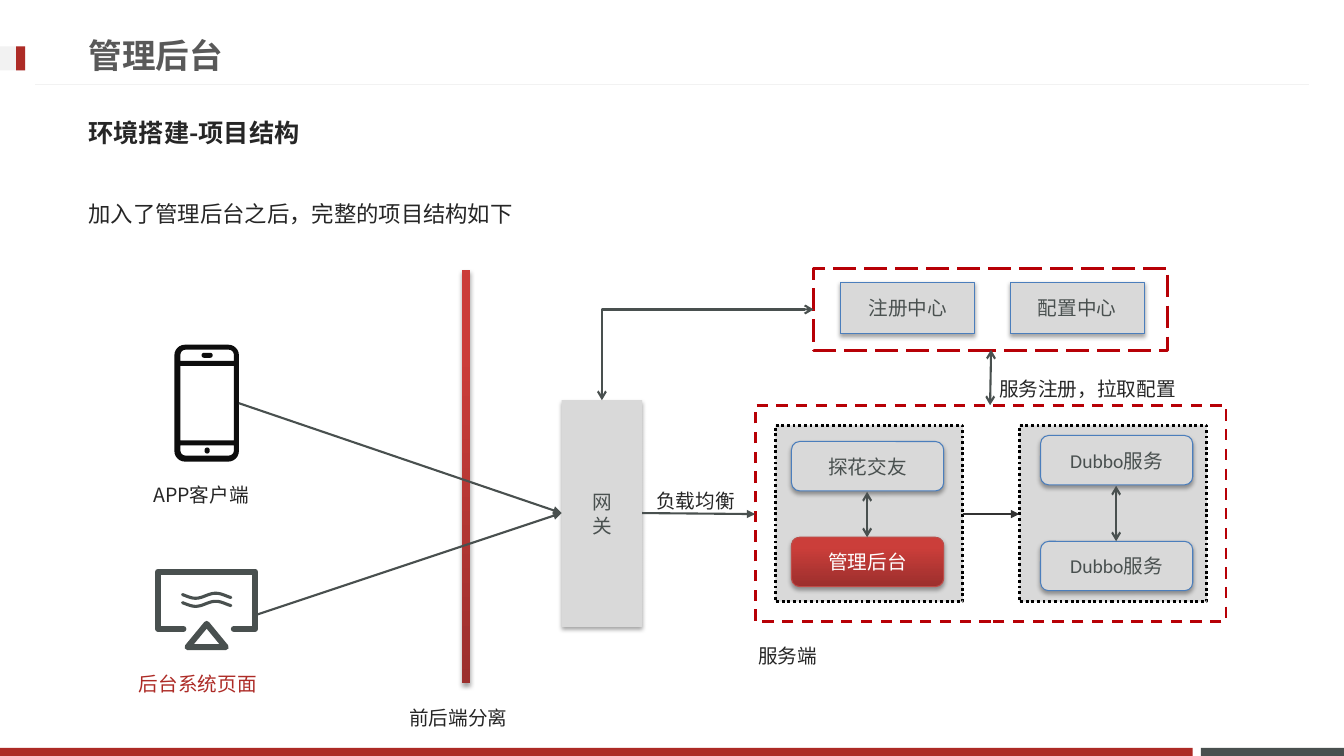
from dataclasses import dataclass
from math import cos, pi, sin, tau

from lxml.etree import SubElement
from pptx import Presentation
from pptx.dml.color import RGBColor
from pptx.enum.dml import MSO_LINE as Dash
from pptx.enum.lang import MSO_LANGUAGE_ID as Language
from pptx.enum.shapes import MSO_CONNECTOR as Link
from pptx.enum.shapes import MSO_SHAPE as Preset
from pptx.enum.text import MSO_ANCHOR as Anchor
from pptx.enum.text import PP_ALIGN as Align
from pptx.oxml.ns import qn
from pptx.util import Emu, Pt

PX = 9144
SLATE, RED, GRAY, INK = "49504F", "AD2B26", "D9D9D9", "262626"
BLUE, CRIMSON, BLACK, WHITE = "4B7EBC", "B70006", "000000", "FFFFFF"
PALE, GRADIENT = "F2F2F2", "gradient"
CJK = "Noto Sans CJK JP"

Point = tuple[float, float]
Contour = list[Point]


@dataclass
class Block:
    left: int
    top: int
    width: int
    height: int
    fill: str = ""
    lines: tuple[str, ...] = ()
    edge: str = ""
    weight: float = 0.75
    dash: Dash | None = None
    shadow: bool = False
    preset: Preset = Preset.RECTANGLE
    ink: str = SLATE


@dataclass
class Label:
    text: str
    left: int
    top: int
    width: int
    height: int
    size: int = 14
    color: str = INK
    font: str = CJK
    heading: bool = False


@dataclass
class Arrow:
    start: Point
    end: Point
    head: str = ""
    tail: str = ""
    color: str = SLATE
    weight: float = 1.5
    elbow: bool = False


def px(length: float) -> Emu:
    return Emu(round(length * PX))


def rgb(color: str) -> RGBColor:
    return RGBColor.from_string(color)


def add_span(para, text: str, size: int, color: str, font: str, bold: bool = False) -> None:
    span = para.add_run()
    span.text = text
    span.font.size, span.font.bold = Pt(size), bold
    span.font.language_id = Language.SIMPLIFIED_CHINESE
    span.font.color.rgb = rgb(color)
    span.font.name = font
    SubElement(span.font._element, qn("a:ea"), typeface=CJK)


def paint(shape, fill: str) -> None:
    if fill == GRADIENT:
        shape.fill.gradient()
        shape.fill.gradient_angle = 90
        stops = shape.fill.gradient_stops
        for stop, position, color in zip(stops, (0, 0.8), ("9C2F2D", "CB3E3A")):
            stop.position, stop.color.rgb = position, rgb(color)
    elif fill:
        shape.fill.solid()
        shape.fill.fore_color.rgb = rgb(fill)
    else:
        shape.fill.background()


def outline(shape, color: str, weight: float) -> None:
    if color:
        shape.line.color.rgb = rgb(color)
        shape.line.width = Pt(weight)
    else:
        shape.line.fill.background()


def add_block(page, block: Block) -> None:
    sides = (px(side) for side in (block.left, block.top, block.width, block.height))
    shape = page.shapes.add_shape(block.preset, *sides)
    shape.shadow.inherit = False
    paint(shape, block.fill)
    outline(shape, block.edge, block.weight)
    if block.dash:
        shape.line.dash_style = block.dash
    if block.shadow:
        effects = shape._element.spPr.find(qn("a:effectLst"))
        outer = SubElement(effects, qn("a:outerShdw"), blurRad="40000", dist="23000",
                           dir="5400000", rotWithShape="0")
        tint = SubElement(outer, qn("a:srgbClr"), val=BLACK)
        SubElement(tint, qn("a:alpha"), val="35000")
    frame = shape.text_frame
    frame.vertical_anchor = Anchor.MIDDLE
    for index, line in enumerate(block.lines):
        para = frame.add_paragraph() if index else frame.paragraphs[0]
        para.alignment = Align.CENTER
        add_span(para, line, 14, block.ink, "Calibri")


def add_label(page, label: Label) -> None:
    box = page.shapes.add_textbox(px(label.left), px(label.top), px(label.width), px(label.height))
    frame = box.text_frame
    frame.word_wrap = True
    para = frame.paragraphs[0]
    if label.heading:
        frame.vertical_anchor = Anchor.MIDDLE
    else:
        para.line_spacing = 1.5
    add_span(para, label.text, label.size, label.color, label.font, label.heading)


def add_arrow(page, arrow: Arrow) -> None:
    kind = Link.ELBOW if arrow.elbow else Link.STRAIGHT
    ends = (px(length) for length in (*arrow.start, *arrow.end))
    connector = page.shapes.add_connector(kind, *ends)
    outline(connector, arrow.color, arrow.weight)
    properties = connector._element.spPr
    if arrow.elbow:
        properties.find(qn("a:prstGeom")).set("prst", "bentConnector2")
        properties.find(qn("a:xfrm")).set("rot", "16200000")
    for tag, tip in (("a:headEnd", arrow.head), ("a:tailEnd", arrow.tail)):
        if tip:
            SubElement(properties.find(qn("a:ln")), qn(tag), type=tip)
    SubElement(properties, qn("a:effectLst"))


def rounded(left: float, top: float, width: float, height: float,
            upper: float = 0, lower: float = 0) -> Contour:
    """Trace a rectangle clockwise with separate upper and lower corner radii."""
    right, bottom = left + width, top + height
    corners = ((left + upper, top + upper, upper, 2), (right - upper, top + upper, upper, 3),
               (right - lower, bottom - lower, lower, 0), (left + lower, bottom - lower, lower, 1))
    return [(x + radius * cos(pi / 2 * (quarter + step / 6)),
             y + radius * sin(pi / 2 * (quarter + step / 6)))
            for x, y, radius, quarter in corners for step in range(7)]


def add_drawing(page, contours: list[Contour], fill: str = "", edge: str = "",
                weight: float = 0) -> None:
    scaled = [[(px(x), px(y)) for x, y in contour] for contour in contours]
    builder = page.shapes.build_freeform(*scaled[0][0])
    for index, contour in enumerate(scaled):
        if index:
            builder.move_to(*contour[0])
        builder.add_line_segments(contour[1:], close=bool(fill))
    shape = builder.convert_to_shape()
    shape.shadow.inherit = False
    paint(shape, fill)
    outline(shape, edge, weight)
    if edge:
        stroke = shape._element.spPr.find(qn("a:ln"))
        stroke.set("cap", "rnd")
        SubElement(stroke, qn("a:round"))


def add_phone(page) -> None:
    add_block(page, Block(174, 343, 62, 114, WHITE))
    add_drawing(page, [rounded(173, 342, 64, 116, 10.5, 10.5), rounded(179, 347, 53, 11, upper=5),
                       rounded(179, 363, 53, 74), rounded(179, 442, 53, 10, lower=5),
                       rounded(200, 350, 11, 5, 2.5, 2.5), rounded(203, 444, 5, 6, 2.5, 2.5)],
                "0D0D0D")


def add_monitor(page) -> None:
    screen = [(182, 624), (157, 624), (157, 567), (253, 567), (253, 624), (232, 624)]
    stand = [(205, 619), (224, 642), (186, 642), (205, 619)]
    waves = [[(x, y + 2.5 * sin(tau * (x - 184) / 40)) for x in range(181, 230, 2)]
             for y in (591, 599)]
    add_drawing(page, [screen, stand], edge=SLATE, weight=4.32)
    add_drawing(page, waves, edge=SLATE, weight=2.2)


def service(text: str, left: int, top: int, fill: str = GRAY, edge: str = BLUE,
            ink: str = SLATE) -> Block:
    return Block(left, top, 151, 49, fill, (text,), edge, shadow=True,
                 preset=Preset.ROUNDED_RECTANGLE, ink=ink)


BLOCKS = [
    Block(1191, 742, 142, 8, SLATE), Block(0, 742, 1183, 8, RED),
    Block(0, 46, 25, 24, PALE), Block(16, 46, 9, 24, RED),
    Block(458, 268, 8, 410, GRADIENT, shadow=True),
    *(Block(left, 422, 186, 175, GRAY, edge=BLACK, weight=2, dash=Dash.ROUND_DOT)
      for left in (769, 1011)),
    Block(557, 397, 80, 225, GRAY, ("网", "关"), shadow=True),
    Block(749, 402, 467, 215, edge=CRIMSON, weight=2, dash=Dash.DASH),
    Block(807, 266, 351, 82, edge=CRIMSON, weight=2, dash=Dash.LONG_DASH),
    *(Block(left, 280, 133, 51, GRAY, (text,), BLUE, shadow=True)
      for text, left in (("注册中心", 834), ("配置中心", 1002))),
    *(service("Dubbo服务", 1032, top) for top in (432, 537)),
    service("探花交友", 785, 438),
    service("管理后台", 785, 533, GRADIENT, "BF4C48", WHITE),
]
ARROWS = [
    Arrow((1298, 84), (35, 84), color=PALE, weight=0.75),
    Arrow((237, 400), (557, 509), tail="triangle"),
    Arrow((254, 610), (557, 509), tail="triangle"),
    Arrow((637, 509), (749, 510), tail="triangle"),
    Arrow((955, 510), (1011, 510), tail="triangle", color="333333"),
    Arrow((860, 488), (860, 533), "arrow", "arrow"),
    Arrow((1107, 482), (1107, 537), "arrow", "arrow"),
    Arrow((983, 347), (982, 402), "arrow", "arrow"),
    Arrow((657, 247), (747, 457), "arrow", "arrow", elbow=True),
]
LABELS = [
    Label("管理后台", 78, 26, 959, 57, 24, "595959", "DejaVu Sans Mono", True),
    Label("环境搭建-项目结构", 78, 103, 1170, 57, 18, heading=True),
    Label("加入了管理后台之后，完整的项目结构如下", 78, 180, 1120, 51, 16),
    Label("前后端分离", 396, 684, 141, 66),
    Label("APP客户端", 142, 463, 129, 34),
    Label("后台系统页面", 128, 650, 144, 47, color=RED),
    Label("服务端", 742, 622, 316, 34, font="Lato"),
    Label("负载均衡", 641, 468, 114, 34),
    Label("服务注册，拉取配置", 981, 357, 201, 29),
]


def main() -> None:
    deck = Presentation()
    deck.slide_width, deck.slide_height = px(1333), px(750)
    page = deck.slides.add_slide(deck.slide_layouts[6])
    for block in BLOCKS:
        add_block(page, block)
    add_phone(page)
    add_monitor(page)
    for arrow in ARROWS:
        add_arrow(page, arrow)
    for label in LABELS:
        add_label(page, label)
    deck.save("out.pptx")


if __name__ == "__main__":
    main()
